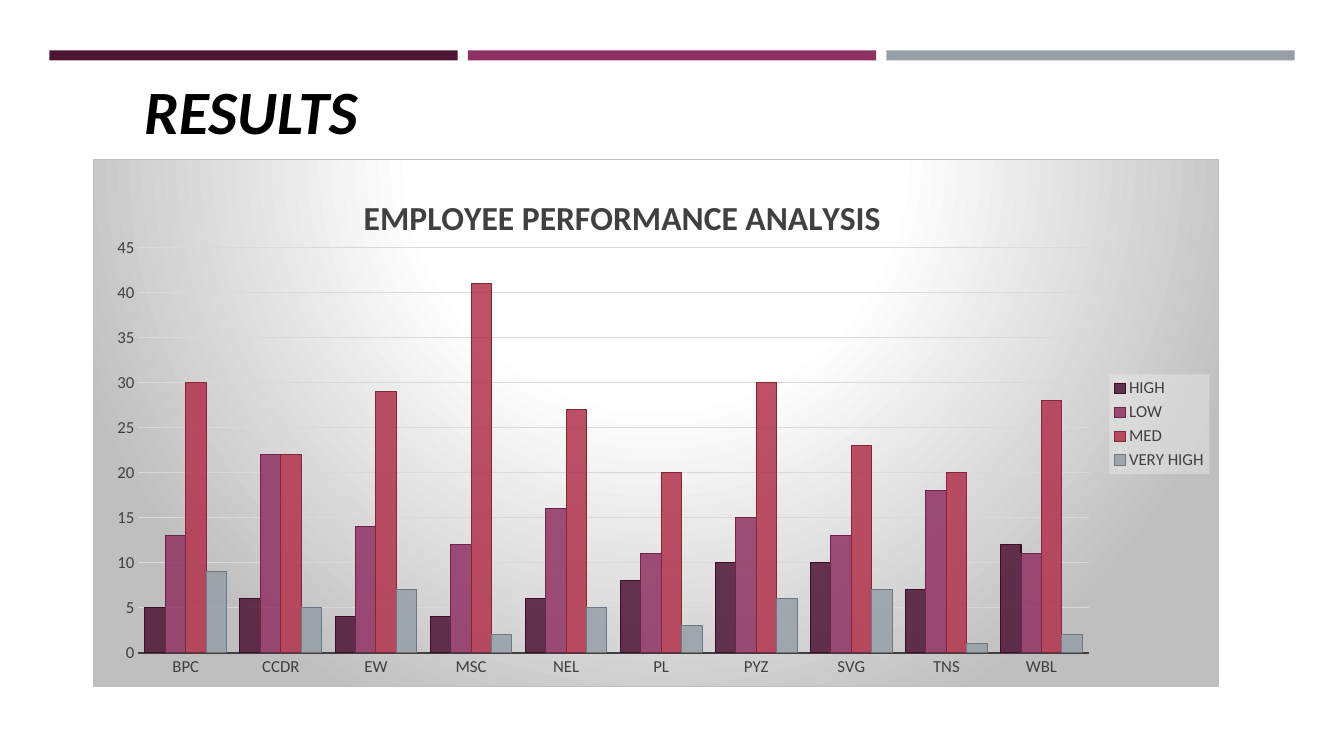
import pptx
import pptx.util
import pptx.chart.data
import pptx.dml.color
import pptx.enum.chart
import pptx.enum.shapes
import pptx.enum.text
import pptx.oxml
import pptx.oxml.ns

# Content
TITLE = "RESULTS"
HEAD = "EMPLOYEE PERFORMANCE ANALYSIS"
SITES = ["BPC", "CCDR", "EW", "MSC", "NEL", "PL", "PYZ", "SVG", "TNS", "WBL"]
LEVELS = {
    "HIGH": [5, 6, 4, 4, 6, 8, 10, 10, 7, 12],
    "LOW": [13, 22, 14, 12, 16, 11, 15, 13, 18, 11],
    "MED": [30, 22, 29, 41, 27, 20, 30, 23, 20, 28],
    "VERY HIGH": [9, 5, 7, 2, 5, 3, 6, 7, 1, 2],
}
HEX = {
    "HIGH": "4D1434", "LOW": "903163", "MED": "B2324B", "VERY HIGH": "969FA7",
    "HIGH edge": "3A0F27", "LOW edge": "6C254A",
    "MED edge": "852638", "VERY HIGH edge": "6C7781",
    "ink": "000000", "text": "404040", "grid": "D9D9D9",
    "white": "FFFFFF", "rim": "BFBFBF", "key": "F2F2F2",
}
FONT = "Calibri"
WIDE, HIGH = 13.33, 7.5

# Places: inches on the slide, shares inside the chart
BARS = ["HIGH", "LOW", "VERY HIGH"]
BAR = {"left": 0.49, "top": 0.5, "width": 4.05, "height": 0.1, "gap": 0.1}
TITLE_BOX = (1.33, 0.67, 4.92, 0.84)
CHART_BOX = (0.92, 1.58, 11.17, 5.24)
PLOT = {"x": 0.04, "y": 0.166, "w": 0.845, "h": 0.769}
HEAD_AT = {"x": 0.235, "y": 0.055}
KEY = {"x": 0.903, "y": 0.407, "w": 0.089, "h": 0.189}

# Helpers
Pt = pptx.util.Pt
qn = pptx.oxml.ns.qn
SPACE = pptx.oxml.ns.nsdecls("c", "a")


def inches(*nums):
    return [pptx.util.Inches(n) for n in nums]


def rgb(name):
    return pptx.dml.color.RGBColor.from_string(HEX[name])


def put(thing, **vals):
    for key, val in vals.items():
        setattr(thing, key, val)


def style(font, size, color="text", **more):
    put(font, name=FONT, size=Pt(size), **more)
    font.color.rgb = rgb(color)


def paint(fill, color):
    fill.solid()
    fill.fore_color.rgb = rgb(color)


def draw(line, color, width):
    line.color.rgb = rgb(color)
    line.width = Pt(width)


def place(item, prior, spot):
    """Give a chart part a manual layout, right after the prior child."""
    for old in item.findall(qn("c:layout")):
        item.remove(old)
    mode = '<c:layoutTarget val="inner"/>' if item.tag == qn("c:plotArea") else ""
    mode += "".join(f'<c:{k}Mode val="edge"/>' for k in "xy")
    mode += "".join(f'<c:{k} val="{v}"/>' for k, v in spot.items())
    node = pptx.oxml.parse_xml(
        f"<c:layout {SPACE}><c:manualLayout>{mode}</c:manualLayout></c:layout>")
    if prior:
        item.find(qn(prior)).addnext(node)
    else:
        item.insert(0, node)


# Slide and title
deck = pptx.Presentation()
deck.slide_width, deck.slide_height = inches(WIDE, HIGH)
slide = deck.slides.add_slide(deck.slide_layouts[5])

for i, name in enumerate(BARS):
    left = BAR["left"] + i * (BAR["width"] + BAR["gap"])
    bar = slide.shapes.add_shape(
        pptx.enum.shapes.MSO_SHAPE.RECTANGLE,
        *inches(left, BAR["top"], BAR["width"], BAR["height"]))
    bar.shadow.inherit = False
    paint(bar.fill, name)
    bar.line.fill.background()

title = slide.shapes.title
put(title, **dict(zip(("left", "top", "width", "height"), inches(*TITLE_BOX))))
frame = title.text_frame
frame.text = TITLE
put(frame, word_wrap=True, vertical_anchor=pptx.enum.text.MSO_ANCHOR.MIDDLE,
    auto_size=pptx.enum.text.MSO_AUTO_SIZE.NONE)
frame.paragraphs[0].alignment = pptx.enum.text.PP_ALIGN.LEFT
style(frame.paragraphs[0].runs[0].font, 44, "ink", bold=True, italic=True)

# Chart and its bars
data = pptx.chart.data.CategoryChartData()
data.categories = SITES
for name, vals in LEVELS.items():
    data.add_series(name, vals)
chart = slide.shapes.add_chart(
    pptx.enum.chart.XL_CHART_TYPE.COLUMN_CLUSTERED, *inches(*CHART_BOX), data).chart
style(chart.font, 10, "ink")
plot = chart.plots[0]
put(plot, gap_width=65, overlap=0, vary_by_categories=False)
for item in plot.series:
    paint(item.format.fill, item.name)
    draw(item.format.line, item.name + " edge", 0.75)
    tint = item.format.fill._xPr.find(qn("a:solidFill"))[0]
    tint.append(pptx.oxml.parse_xml(f'<a:alpha {SPACE} val="85000"/>'))

# Axes
for axis in (chart.category_axis, chart.value_axis):
    put(axis, major_tick_mark=pptx.enum.chart.XL_TICK_MARK.NONE,
        minor_tick_mark=pptx.enum.chart.XL_TICK_MARK.NONE)
    style(axis.tick_labels.font, 12)
draw(chart.category_axis.format.line, "text", 1.5)
scale = chart.value_axis
put(scale, minimum_scale=0, maximum_scale=45, major_unit=5, has_major_gridlines=True)
scale.format.line.fill.background()
draw(scale.major_gridlines.format.line, "grid", 0.75)

# Chart title and legend
chart.has_title = chart.has_legend = True
chart.chart_title.include_in_layout = False
head = chart.chart_title.text_frame
head.text = HEAD
style(head.paragraphs[0].runs[0].font, 24, bold=True)
legend = chart.legend
put(legend, position=pptx.enum.chart.XL_LEGEND_POSITION.RIGHT, include_in_layout=False)
style(legend.font, 12)

root = chart._chartSpace
place(root.find(".//" + qn("c:plotArea")), None, PLOT)
place(root.find(".//" + qn("c:title")), "c:tx", HEAD_AT)
key = root.find(".//" + qn("c:legend"))
place(key, "c:legendPos", KEY)
key.find(qn("c:overlay")).addnext(pptx.oxml.parse_xml(
    f'<c:spPr {SPACE}><a:solidFill><a:srgbClr val="{HEX["key"]}">'
    '<a:alpha val="39000"/></a:srgbClr></a:solidFill></c:spPr>'))

# Chart backdrop
stops = "".join(
    f'<a:gs pos="{pos * 1000}"><a:srgbClr val="{HEX[name]}"/></a:gs>'
    for pos, name in ((0, "white"), (39, "white"), (100, "rim")))
root.find(qn("c:chart")).addnext(pptx.oxml.parse_xml(
    f'<c:spPr {SPACE}><a:gradFill><a:gsLst>{stops}</a:gsLst><a:path path="circle">'
    '<a:fillToRect l="50000" t="-80000" r="50000" b="180000"/></a:path></a:gradFill>'
    f'<a:ln w="{Pt(0.75)}"><a:solidFill><a:srgbClr val="{HEX["rim"]}"/>'
    '</a:solidFill></a:ln></c:spPr>'))

deck.save("out.pptx")
